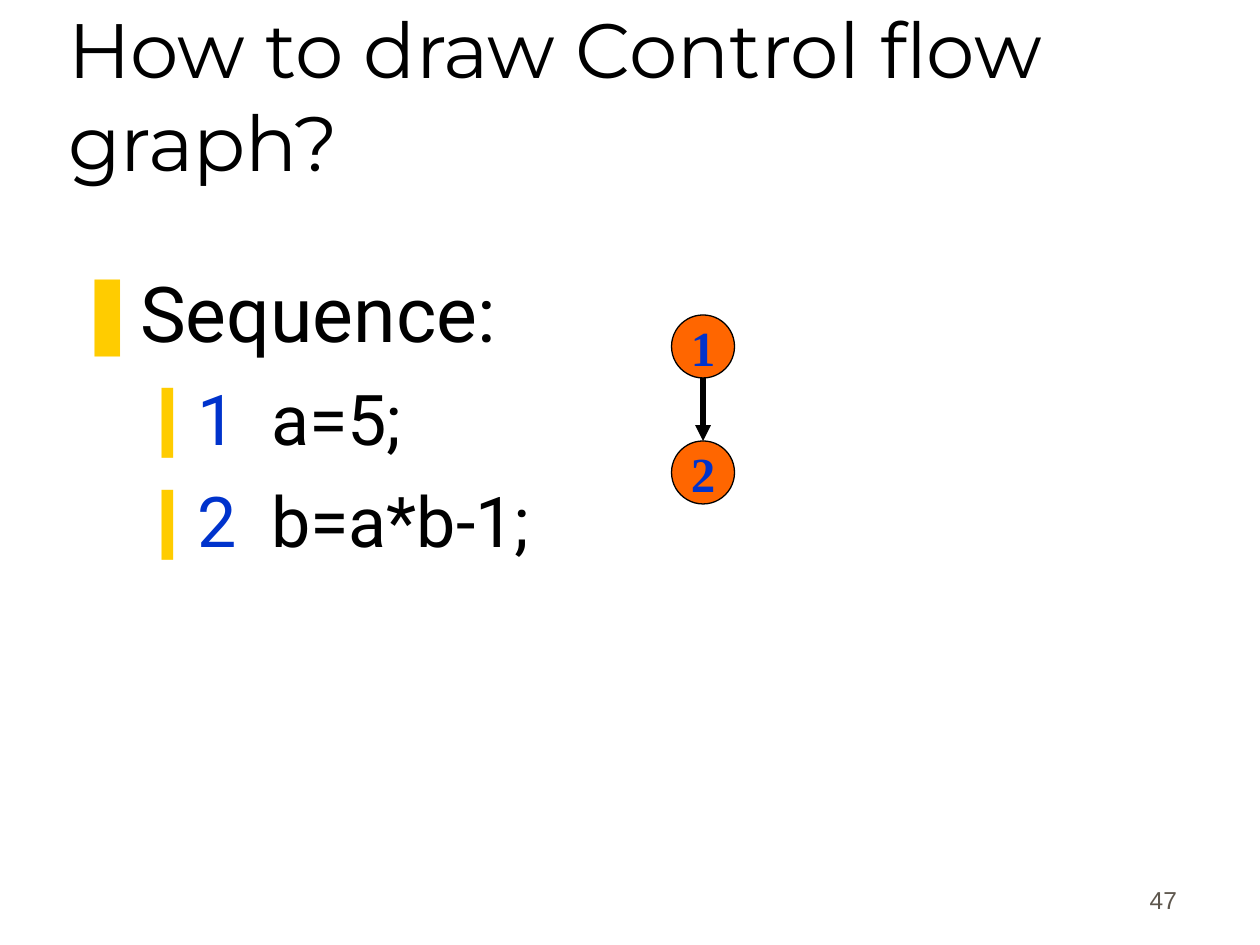
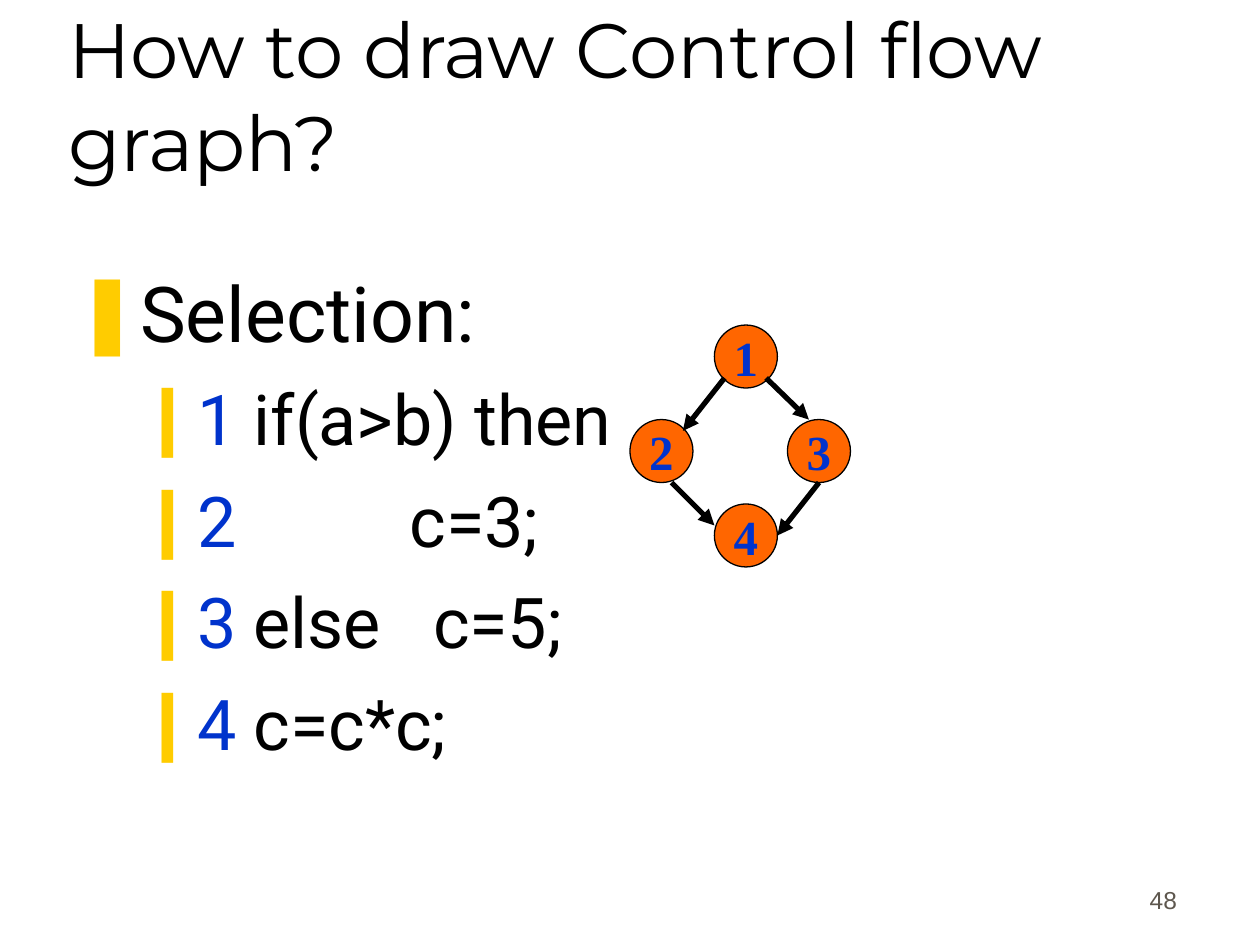
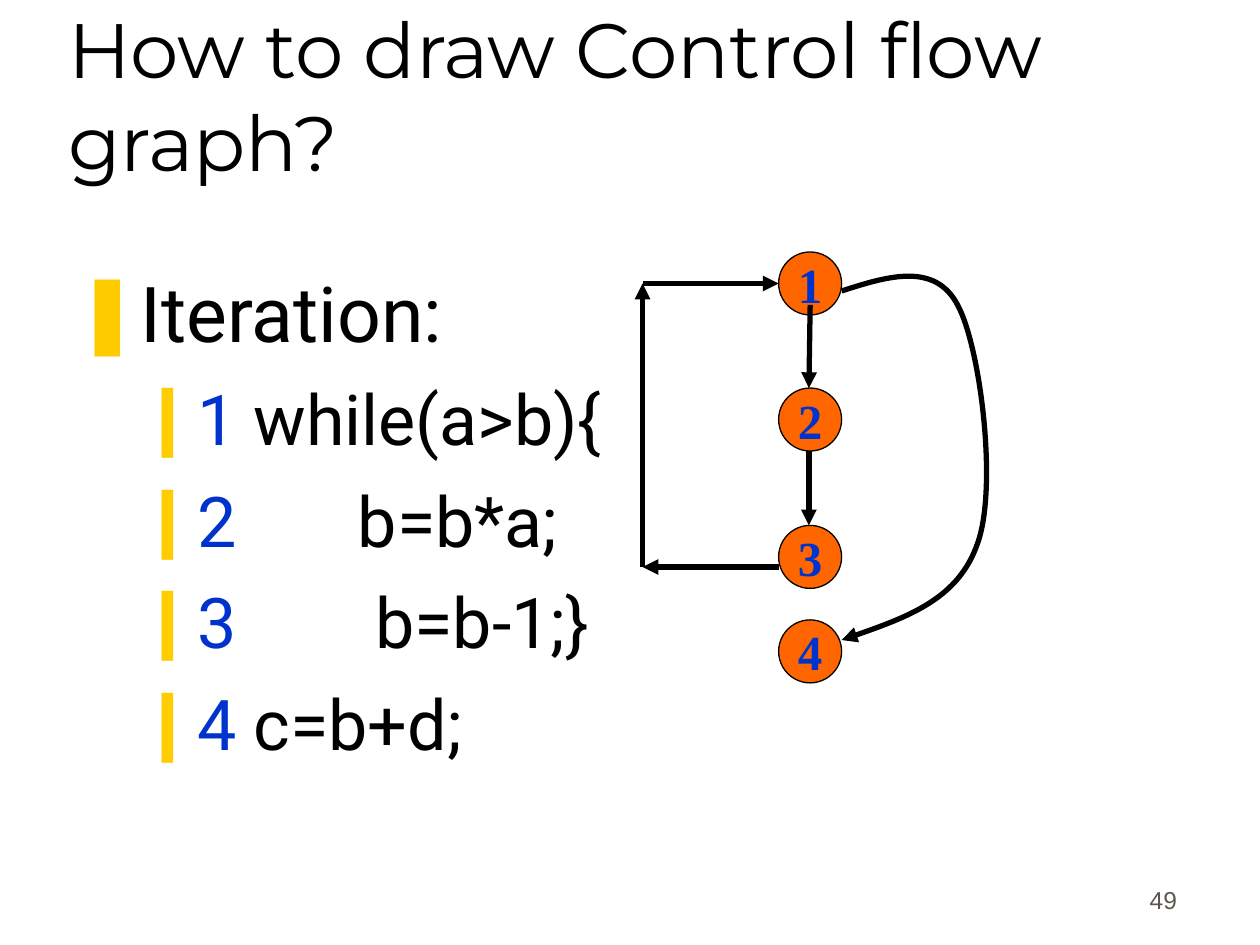
import pptx
import pptx.util
import pptx.dml.color
import pptx.enum.shapes
import pptx.enum.text
import pptx.oxml.ns
from lxml import etree

Inches, Pt = pptx.util.Inches, pptx.util.Pt
RGBColor = pptx.dml.color.RGBColor
ANCHOR = pptx.enum.text.MSO_ANCHOR
ALIGN = pptx.enum.text.PP_ALIGN
qn = pptx.oxml.ns.qn

BLACK = RGBColor(0x00, 0x00, 0x00)
BLUE = RGBColor(0x00, 0x33, 0xCC)
ORANGE = RGBColor(0xFF, 0x66, 0x00)
YELLOW = RGBColor(0xFF, 0xCC, 0x00)
GREY = RGBColor(0x5E, 0x57, 0x4E)

# Content: each code line is a list of (gap before, text), the gap in spaces
TITLE = "How to draw Control flow graph?"
FIRST = 47
SLIDES = [
    {
        "head": "Sequence:",
        "code": [[(2, "a=5;")], [(2, "b=a*b-1;")]],
        "nodes": [(5.33, 2.5), (5.33, 3.5)],
        "edges": [(5.58, 3, 5.58, 3.5)],
    },
    {
        "head": "Selection:",
        "code": [[(1, "if(a>b) then")], [(10, "c=3;")],
                 [(1, "else"), (3, "c=5;")], [(1, "c=c*c;")]],
        "nodes": [(5.67, 2.58), (5, 3.33), (6.25, 3.33), (5.67, 4)],
        "edges": [(5.75, 3, 5.42, 3.42), (6.08, 3, 6.42, 3.33),
                  (5.33, 3.83, 5.67, 4.17), (6.5, 3.83, 6.17, 4.25)],
    },
    {
        "head": "Iteration:",
        "code": [[(1, "while(a>b){")], [(7, "b=b*a;")],
                 [(8, "b=b-1;}")], [(1, "c=b+d;")]],
        "nodes": [(6.18, 2), (6.18, 3.08), (6.18, 4.17), (6.18, 4.92)],
        "edges": [(6.43, 2.42, 6.42, 3.08), (6.42, 3.58, 6.42, 4.17),
                  (6.18, 4.5, 5.1, 4.5), (5.1, 4.5, 5.1, 2.25),
                  (5.1, 2.25, 6.18, 2.25)],
        # Start point, then three points for each Bezier piece
        "exit": [(6.68, 2.31),
                 (7.05, 2.19), (7.42, 2.08), (7.6, 2.42),
                 (7.78, 2.75), (7.92, 3.86), (7.76, 4.31),
                 (7.61, 4.75), (7.15, 4.92), (6.68, 5.08)],
    },
]

# Shared measures
NODE = 0.5
SPACE = 0.2476  # width of a Roboto space, in ems
# Bullet, left margin, indent, space before, text size
LEVELS = [("❚", 0.38, -0.38, 11, 44), ("❙", 0.81, -0.31, 10, 40)]


def add_run(para, text, font, size, color, bold=False):
    run = para.add_run()
    run.text = text
    run.font.name = font
    run.font.size = Pt(size)
    run.font.color.rgb = color
    run.font.bold = bold
    return run


def set_frame(shape, anchor, wrap=True, foot=0.05):
    frame = shape.text_frame
    frame.auto_size = pptx.enum.text.MSO_AUTO_SIZE.NONE
    frame.word_wrap = wrap
    frame.vertical_anchor = anchor
    frame.margin_left = frame.margin_right = Inches(0.1)
    frame.margin_top = Inches(0.05)
    frame.margin_bottom = Inches(foot)
    return frame


def place(shape, left, top, width, height):
    shape.left, shape.top = Inches(left), Inches(top)
    shape.width, shape.height = Inches(width), Inches(height)


def set_level(para, level):
    char, left, indent, before, size = LEVELS[level]
    para.level = level
    para.alignment = ALIGN.LEFT
    para.space_before = Pt(before)
    props = para._p.get_or_add_pPr()
    props.set("marL", str(Inches(left)))
    props.set("indent", str(Inches(indent)))
    tint = etree.SubElement(props, qn("a:buClr"))
    etree.SubElement(tint, qn("a:srgbClr")).set("val", str(YELLOW))
    etree.SubElement(props, qn("a:buChar")).set("char", char)
    return size


def add_title(slide):
    title = slide.shapes.title
    place(title, 0.44, 0.25, 8.5, 1.25)
    para = set_frame(title, ANCHOR.BOTTOM, foot=0.02).paragraphs[0]
    para.alignment = ALIGN.LEFT
    add_run(para, TITLE, "Montserrat", 44, BLACK)


def add_code(slide, head, code):
    body = slide.placeholders[1]
    place(body, 0.5, 2.06, 8.94, 4.56)
    frame = set_frame(body, ANCHOR.TOP)
    para = frame.paragraphs[0]
    add_run(para, head, "Roboto", set_level(para, 0), BLACK)
    for num, parts in enumerate(code, 1):
        para = frame.add_paragraph()
        size = set_level(para, 1)
        add_run(para, str(num), "Roboto", size, BLUE)
        for gap, text in parts:
            # One space, widened by letter spacing to the gap wanted
            space = add_run(para, " ", "Roboto", size, BLACK)
            if gap > 1:
                extra = round((gap - 1) * SPACE * size * 100)
                space._r.get_or_add_rPr().set("spc", str(extra))
            add_run(para, text, "Roboto", size, BLACK)


def add_number(slide, num):
    box = slide.shapes.add_textbox(0, 0, 0, 0)
    place(box, 7.36, 6.81, 2.08, 0.5)
    para = set_frame(box, ANCHOR.BOTTOM).paragraphs[0]
    para.alignment = ALIGN.RIGHT
    add_run(para, str(num), "Arial", 14, GREY)


def add_node(slide, num, left, top):
    node = slide.shapes.add_shape(
        pptx.enum.shapes.MSO_SHAPE.OVAL,
        Inches(left), Inches(top), Inches(NODE), Inches(NODE))
    node.shadow.inherit = False
    node.fill.solid()
    node.fill.fore_color.rgb = ORANGE
    node.line.color.rgb = BLACK
    node.line.width = Pt(0.75)
    para = set_frame(node, ANCHOR.MIDDLE, wrap=False).paragraphs[0]
    para.alignment = ALIGN.CENTER
    add_run(para, str(num), "Times New Roman", 28, BLUE, bold=True)


def set_arrow(shape):
    shape.line.color.rgb = BLACK
    shape.line.width = Pt(3)
    line = shape.line._get_or_add_ln()
    etree.SubElement(line, qn("a:tailEnd")).set("type", "triangle")


def add_edge(slide, ends):
    edge = slide.shapes.add_connector(
        pptx.enum.shapes.MSO_CONNECTOR.STRAIGHT, *map(Inches, ends))
    set_arrow(edge)
    etree.SubElement(edge._element.spPr, qn("a:effectLst"))


def add_curve(slide, points):
    start, *rest = [(Inches(x), Inches(y)) for x, y in points]
    outline = slide.shapes.build_freeform(*start)
    outline.add_line_segments(rest, close=False)
    curve = outline.convert_to_shape()
    curve.shadow.inherit = False
    curve.fill.background()
    set_arrow(curve)
    # Turn each three line segments into one Bezier piece
    lines = curve._element.xpath(".//a:lnTo")
    for i in range(0, len(lines), 3):
        piece = etree.Element(qn("a:cubicBezTo"))
        lines[i].addprevious(piece)
        for line in lines[i:i + 3]:
            piece.append(line[0])
            line.getparent().remove(line)


def main():
    deck = pptx.Presentation()
    deck.slide_width, deck.slide_height = Inches(10), Inches(7.5)
    for page, data in enumerate(SLIDES, FIRST):
        slide = deck.slides.add_slide(deck.slide_layouts[1])
        add_number(slide, page)
        add_title(slide)
        add_code(slide, data["head"], data["code"])
        for num, spot in enumerate(data["nodes"], 1):
            add_node(slide, num, *spot)
        for ends in data["edges"]:
            add_edge(slide, ends)
        if "exit" in data:
            add_curve(slide, data["exit"])
    deck.save("out.pptx")


if __name__ == "__main__":
    main()
